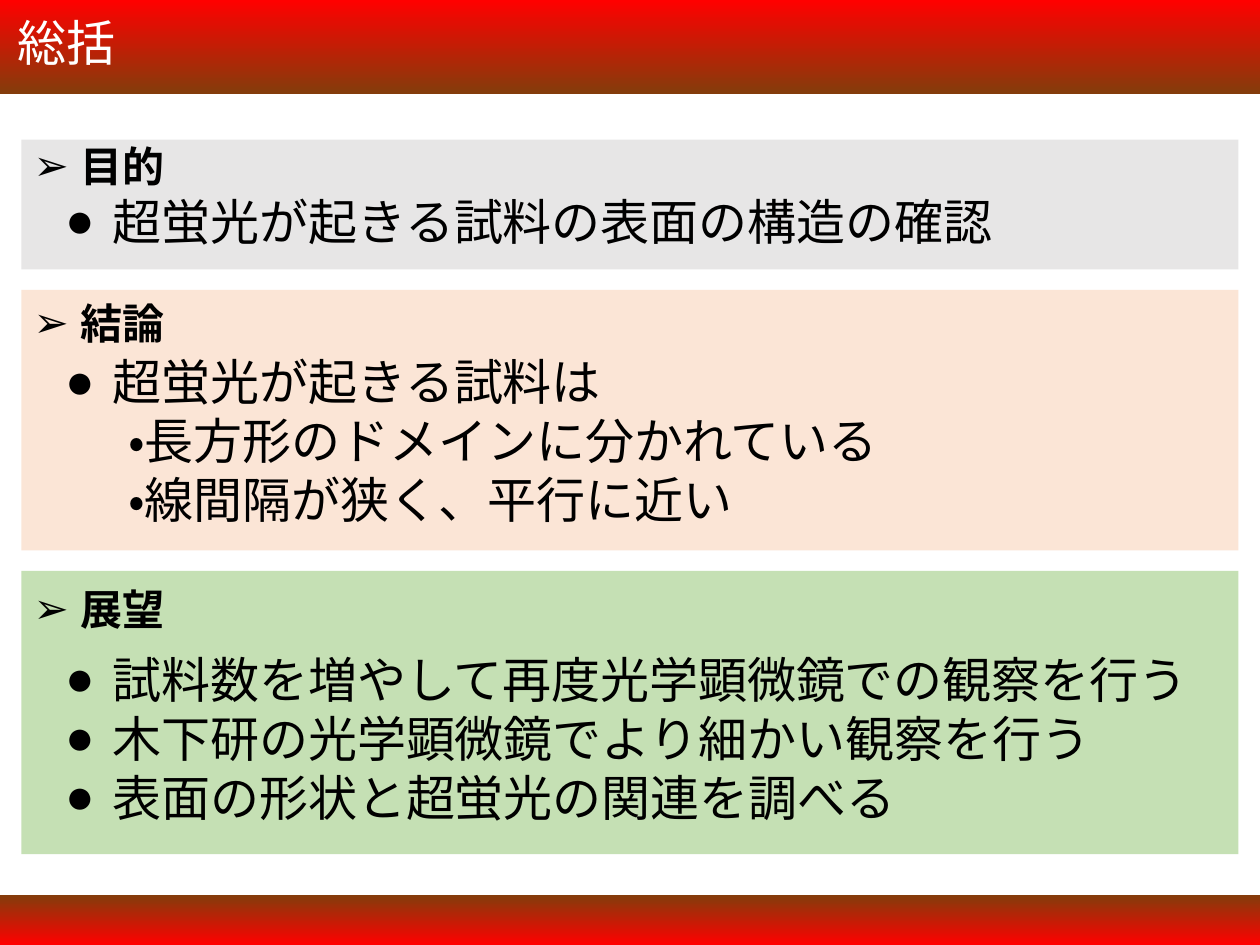
from lxml import etree
from pptx import Presentation
from pptx import util as u
from pptx.dml.color import RGBColor
from pptx.enum import lang, shapes, text
from pptx.oxml import ns

RED = RGBColor(0xFF, 0x00, 0x00)
BROWN = RGBColor(0x84, 0x3C, 0x0B)
WHITE = RGBColor(0xFF, 0xFF, 0xFF)
BLACK = RGBColor(0x00, 0x00, 0x00)
GRAY = RGBColor(0xE7, 0xE6, 0xE6)
PEACH = RGBColor(0xFB, 0xE5, 0xD6)
GREEN = RGBColor(0xC5, 0xE0, 0xB4)

SLIDE_WIDTH, SLIDE_HEIGHT = 720, 540
PANEL_LEFT, PANEL_WIDTH = 12.2, 695.5
BODY_LEFT, BODY_WIDTH = 30.2, 677.5
BULLET_INDENT, SUB_INDENT = 27, 36

SECTIONS = [
    dict(name="目的", color=GRAY, top=79.8, height=74.2, head_top=77, body_top=105.8,
         lines=[("超蛍光が起きる試料の表面の構造の確認", 0)]),
    dict(name="結論", color=PEACH, top=165.6, height=149, head_top=166.5, body_top=197.5,
         lines=[("超蛍光が起きる試料は", 0),
                ("・長方形のドメインに分かれている", 1),
                ("・線間隔が狭く、平行に近い", 1)]),
    dict(name="展望", color=GREEN, top=326.3, height=161.8, head_top=330, body_top=367.5,
         lines=[("試料数を増やして再度光学顕微鏡での観察を行う", 0),
                ("木下研の光学顕微鏡でより細かい観察を行う", 0),
                ("表面の形状と超蛍光の関連を調べる", 0)]),
]


def write(para, words, size=28, font="Arial", color=BLACK, bold=False,
          bullet=None, level=0):
    para.level = level
    props = para._p.get_or_add_pPr()
    indent = BULLET_INDENT if bullet else SUB_INDENT * level
    props.set("marL", str(u.Pt(indent)))
    props.set("indent", str(-u.Pt(indent) if bullet else 0))
    if bullet:
        mark_font = etree.SubElement(props, ns.qn("a:buFont"))
        mark_font.set("typeface", "Arial")
        mark = etree.SubElement(props, ns.qn("a:buChar"))
        mark.set("char", bullet)
    span = para.add_run()
    span.text = words
    span.font.size = u.Pt(size)
    span.font.name = font
    span.font.bold = bold
    span.font.color.rgb = color
    span.font.language_id = lang.MSO_LANGUAGE_ID.JAPANESE


class Page:
    def __init__(self, deck):
        self.slide = deck.slides.add_slide(deck.slide_layouts[6])

    def rectangle(self, left, top, width, height):
        shape = self.slide.shapes.add_shape(
            shapes.MSO_SHAPE.RECTANGLE,
            u.Pt(left), u.Pt(top), u.Pt(width), u.Pt(height))
        shape.shadow.inherit = False
        shape.line.fill.background()
        return shape

    def panel(self, top, height, color):
        shape = self.rectangle(PANEL_LEFT, top, PANEL_WIDTH, height)
        shape.fill.solid()
        shape.fill.fore_color.rgb = color

    def band(self, top, height, angle):
        fill = self.rectangle(0, top, SLIDE_WIDTH, height).fill
        fill.gradient()
        fill.gradient_angle = angle
        for stop, color in zip(fill.gradient_stops, (RED, BROWN)):
            stop.color.rgb = color

    def text_box(self, left, top, width, height, wrap=False):
        box = self.slide.shapes.add_textbox(
            u.Pt(left), u.Pt(top), u.Pt(width), u.Pt(height))
        box.text_frame.word_wrap = wrap
        box.text_frame.auto_size = text.MSO_AUTO_SIZE.SHAPE_TO_FIT_TEXT
        return box.text_frame

    def title(self, words):
        frame = self.text_box(2.9, 3.6, 71.3, 41)
        write(frame.paragraphs[0], words, font="Times New Roman", color=WHITE)

    def heading(self, words, top):
        frame = self.text_box(PANEL_LEFT, top, 90.7, 36)
        write(frame.paragraphs[0], words, size=24, font="Times New Roman",
              bold=True, bullet="➢")

    def body(self, lines, top):
        height = 7.2 + 33.8 * len(lines)
        frame = self.text_box(BODY_LEFT, top, BODY_WIDTH, height, wrap=True)
        for index, (words, level) in enumerate(lines):
            para = frame.add_paragraph() if index else frame.paragraphs[0]
            write(para, words, level=level, bullet=None if level else "●")


def main():
    deck = Presentation()
    deck.slide_width = u.Pt(SLIDE_WIDTH)
    deck.slide_height = u.Pt(SLIDE_HEIGHT)
    page = Page(deck)
    page.band(0, 53.5, angle=270)
    page.band(511.7, 28.3, angle=90)
    page.title("総括")
    for section in SECTIONS:
        page.panel(section["top"], section["height"], section["color"])
        page.heading(section["name"], section["head_top"])
        page.body(section["lines"], section["body_top"])
    deck.save("out.pptx")


if __name__ == "__main__":
    main()
